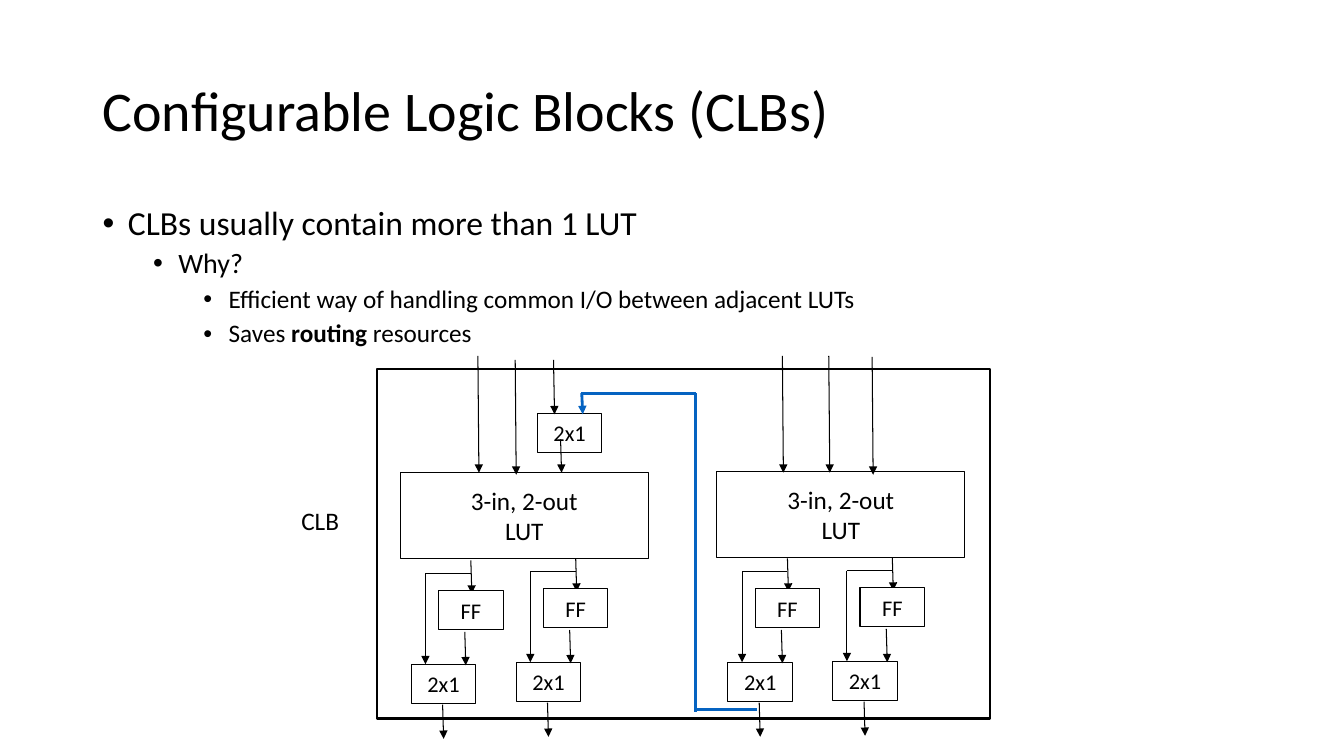
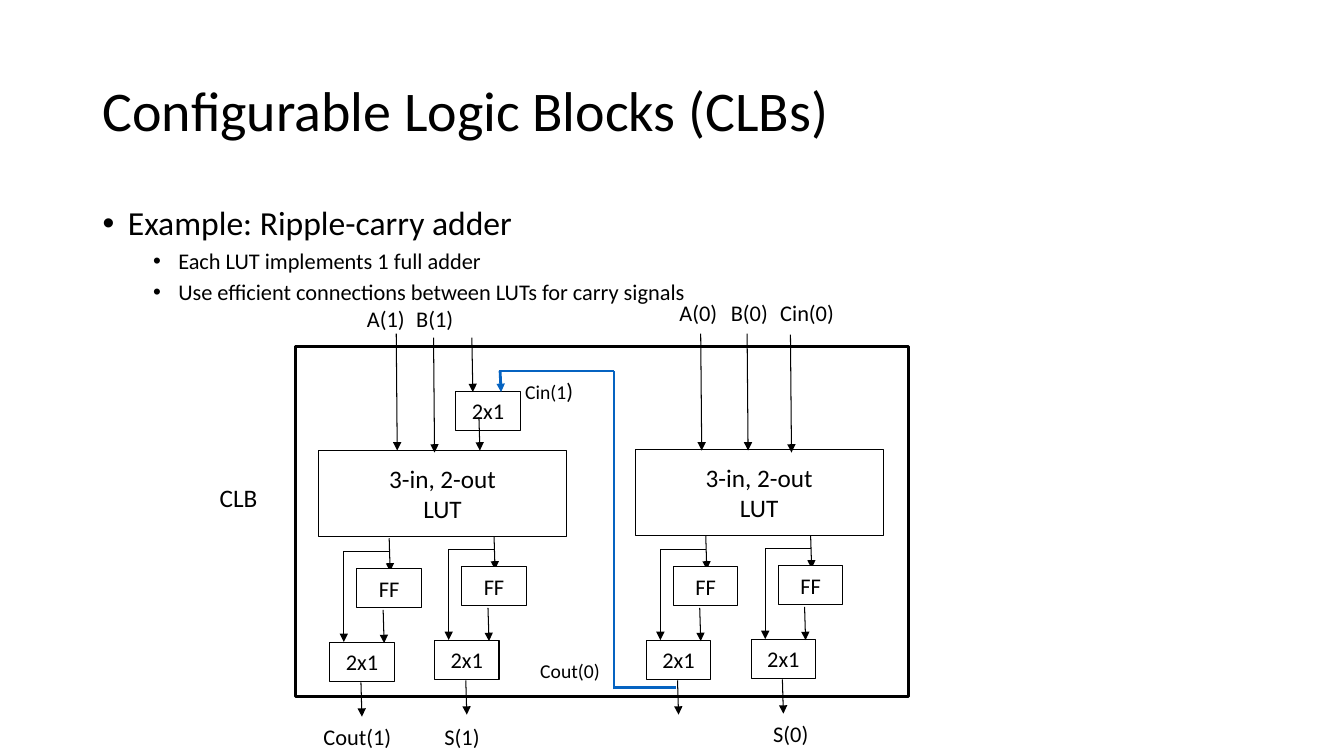
from lxml import etree
from pptx import Presentation
from pptx.dml.color import RGBColor
from pptx.enum.shapes import MSO_CONNECTOR, MSO_SHAPE
from pptx.enum.text import MSO_ANCHOR, PP_ALIGN
from pptx.oxml.ns import qn
from pptx.util import Inches, Pt

RECTANGLE = MSO_SHAPE.RECTANGLE
STRAIGHT = MSO_CONNECTOR.STRAIGHT
TOP, MIDDLE = MSO_ANCHOR.TOP, MSO_ANCHOR.MIDDLE
LEFT, CENTER = PP_ALIGN.LEFT, PP_ALIGN.CENTER

FONT = "Calibri"
BLACK, WHITE, BLUE = "000000", "FFFFFF", "0563C1"
TITLE = "Configurable Logic Blocks (CLBs)"
SMALL_BOX = (0.64, 0.39)
LUT_BOX = (2.46, 0.85)
FRAME_BOX = (6.08, 3.47)

LUTS = [(0.23, 1.03), (3.37, 1.02)]
BRANCHES = [(0.93, 1.90), (1.97, 1.88), (4.07, 1.88), (5.11, 1.87)]
INPUTS = [
    (1.00, -0.13, 1.03),
    (1.37, -0.09, 1.05),
    (1.75, -0.09, 0.45),
    (1.82, 0.70, 1.03),
    (4.02, -0.13, 1.03),
    (4.48, -0.13, 1.03),
    (4.91, -0.12, 1.05),
]
CARRY_LINES = [
    ((3.77, 3.38), (3.16, 3.38), False),
    ((3.16, 3.40), (3.16, 0.24), False),
    ((3.16, 0.24), (2.02, 0.24), False),
    ((2.03, 0.24), (2.04, 0.45), True),
]

SLIDES = [
    {
        "origin": (3.74, 3.66),
        "bullets": [
            (0, 24, [("CLBs usually contain more than 1 LUT", False)]),
            (1, 20, [("Why?", False)]),
            (2, 18, [("Efficient way of handling common I/O between adjacent LUTs", False)]),
            (2, 18, [("Saves ", False), ("routing", True), (" resources", False)]),
        ],
        "labels": [],
    },
    {
        "origin": (2.93, 3.44),
        "bullets": [
            (0, 24, [("Example: Ripple-carry adder", False)]),
            (1, 16, [("Each LUT implements 1 full adder", False)]),
            (1, 16, [("Use efficient connections between LUTs for carry signals", False)]),
        ],
        "labels": [
            (6.64, 2.92, 0.69, [("A(0)", 16)]),
            (7.15, 2.92, 0.69, [("B(0)", 16)]),
            (7.64, 2.92, 0.92, [("Cin(0)", 16)]),
            (7.57, 7.10, 0.69, [("S(0)", 16)]),
            (5.11, 3.69, 0.92, [("Cin(1", 14), (")", 16)]),
            (3.54, 2.98, 0.69, [("A(1)", 16)]),
            (4.03, 2.98, 0.69, [("B(1)", 16)]),
            (4.31, 7.13, 0.69, [("S(1)", 16)]),
            (5.26, 6.49, 1.07, [("Cout(0)", 14)]),
            (3.11, 7.12, 1.07, [("Cout(1)", 16)]),
        ],
    },
]


def rgb(value):
    return RGBColor.from_string(value)


def shift(origin, x, y):
    return origin[0] + x, origin[1] + y


def write(paragraph, text, size=16, bold=False, color=BLACK, align=LEFT):
    paragraph.alignment = align
    run = paragraph.add_run()
    run.text = text
    run.font.name = FONT
    run.font.size = Pt(size)
    run.font.bold = bold
    run.font.color.rgb = rgb(color)


def add_text_frame(slide, left, top, width, height, anchor=TOP):
    box = slide.shapes.add_textbox(Inches(left), Inches(top), Inches(width), Inches(height))
    frame = box.text_frame
    frame.word_wrap = True
    frame.vertical_anchor = anchor
    return frame


def add_title(slide):
    paragraph = add_text_frame(slide, 0.92, 0.4, 11.5, 1.45, MIDDLE).paragraphs[0]
    paragraph.line_spacing = 0.9
    write(paragraph, TITLE, size=40)


def add_bullets(slide, bullets):
    frame = add_text_frame(slide, 0.92, 2, 11.5, 4.76)
    for index, (level, size, runs) in enumerate(bullets):
        paragraph = frame.add_paragraph() if index else frame.paragraphs[0]
        properties = paragraph._p.get_or_add_pPr()
        properties.set("marL", str(Inches(0.25 + 0.5 * level)))
        properties.set("indent", str(Inches(-0.25)))
        etree.SubElement(properties, qn("a:buFont"), typeface="Arial")
        etree.SubElement(properties, qn("a:buChar"), char="•")
        paragraph.level = level
        paragraph.line_spacing = 0.9
        if index:
            paragraph.space_before = Pt(5)
        for text, bold in runs:
            write(paragraph, text, size=size, bold=bold)


def add_label(slide, left, top, width, runs):
    paragraph = add_text_frame(slide, left, top, width, 0.37).paragraphs[0]
    for text, size in runs:
        write(paragraph, text, size=size)


def add_box(slide, position, dimensions, lines=(), size=16, fill=None, weight=0.75):
    shape = slide.shapes.add_shape(RECTANGLE, *map(Inches, position + dimensions))
    shape.shadow.inherit = False
    if fill:
        shape.fill.solid()
        shape.fill.fore_color.rgb = rgb(fill)
    else:
        shape.fill.background()
    shape.line.color.rgb = rgb(BLACK)
    shape.line.width = Pt(weight)
    frame = shape.text_frame
    frame.word_wrap = False
    frame.vertical_anchor = MIDDLE
    for index, line in enumerate(lines):
        paragraph = frame.add_paragraph() if index else frame.paragraphs[0]
        write(paragraph, line, size=size, align=CENTER)


def add_line(slide, start, end, color=BLACK, weight=0.75, arrow=True):
    connector = slide.shapes.add_connector(STRAIGHT, *map(Inches, start + end))
    connector.line.color.rgb = rgb(color)
    connector.line.width = Pt(weight)
    if arrow:
        etree.SubElement(connector.line._get_or_add_ln(), qn("a:tailEnd"), type="triangle")
    etree.SubElement(connector._element.spPr, qn("a:effectLst"))


def add_branch(slide, stem):
    def at(x, y):
        return shift(stem, x, y)

    add_line(slide, stem, at(0.01, 0.33))
    add_box(slide, at(-0.32, 0.30), SMALL_BOX, ["FF"], fill=WHITE)
    add_box(slide, at(-0.59, 1.03), SMALL_BOX, ["2x1"], fill=WHITE)
    add_line(slide, at(-0.45, 0.13), at(0, 0.13), arrow=False)
    add_line(slide, at(-0.45, 0.13), at(-0.45, 1.03))
    add_line(slide, at(-0.06, 0.71), at(-0.05, 1.04))
    add_line(slide, at(-0.28, 1.43), at(-0.27, 1.77))


def add_logic_block(slide, origin):
    def at(x, y):
        return shift(origin, x, y)

    for lut in LUTS:
        add_box(slide, at(*lut), LUT_BOX, ["3-in, 2-out", "LUT"], size=18)
    for stem in BRANCHES:
        add_branch(slide, at(*stem))
    add_box(slide, at(1.59, 0.44), SMALL_BOX, ["2x1"], fill=WHITE)
    for x, top, bottom in INPUTS:
        add_line(slide, at(x, top), at(x + 0.01, bottom))
    for start, end, arrow in CARRY_LINES:
        add_line(slide, at(*start), at(*end), color=BLUE, weight=2, arrow=arrow)
    add_box(slide, origin, FRAME_BOX, weight=1.75)
    add_label(slide, *at(-0.85, 1.30), 1.15, [("CLB", 18)])


def main():
    presentation = Presentation()
    presentation.slide_width = Inches(13.33)
    presentation.slide_height = Inches(7.5)
    for content in SLIDES:
        slide = presentation.slides.add_slide(presentation.slide_layouts[6])
        add_title(slide)
        add_bullets(slide, content["bullets"])
        add_logic_block(slide, content["origin"])
        for label in content["labels"]:
            add_label(slide, *label)
    presentation.save("out.pptx")


if __name__ == "__main__":
    main()
